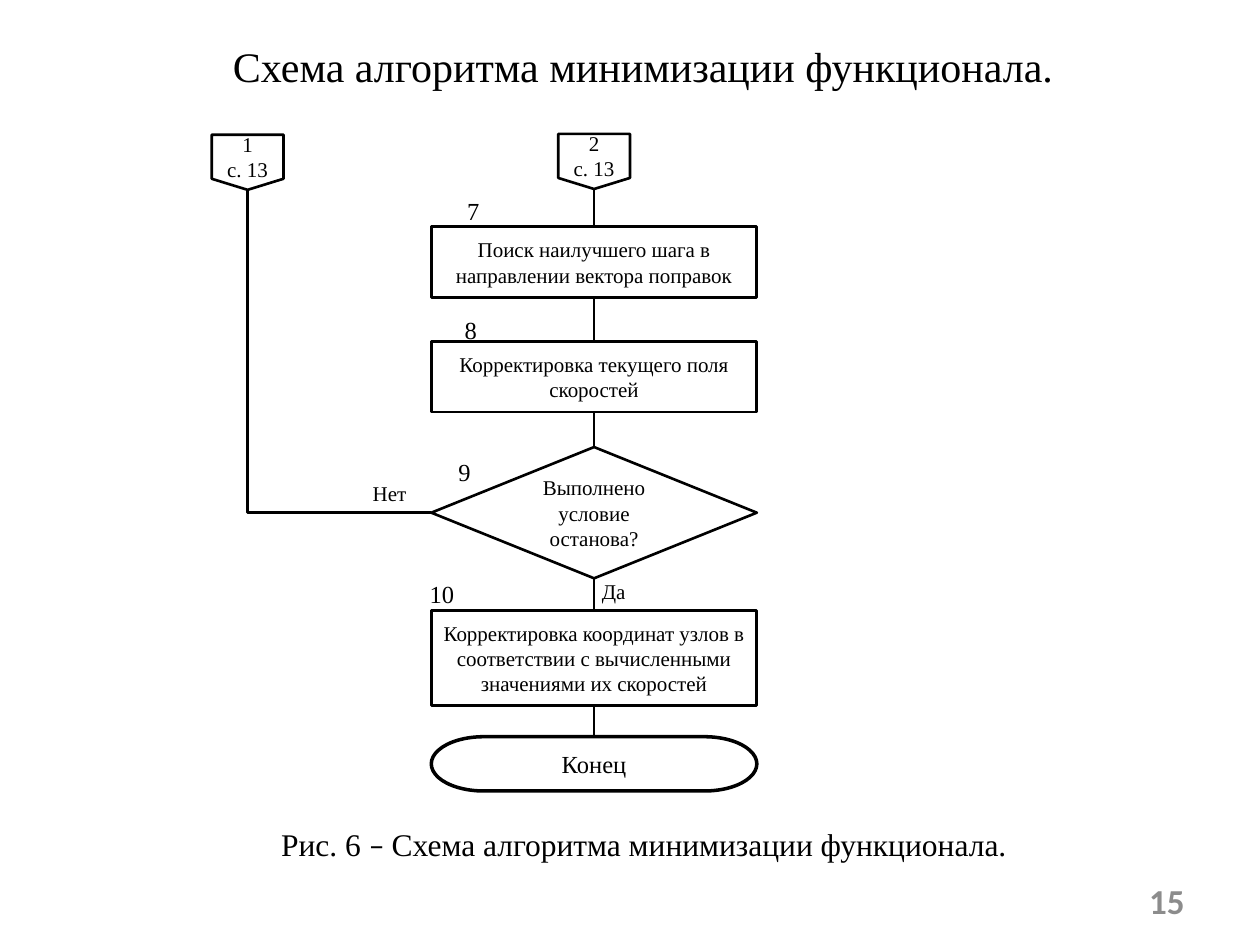
from dataclasses import dataclass

from lxml import etree
from pptx import Presentation
from pptx.dml.color import RGBColor
from pptx.enum.shapes import MSO_CONNECTOR, MSO_SHAPE
from pptx.enum.text import MSO_ANCHOR, MSO_AUTO_SIZE, PP_ALIGN
from pptx.oxml.ns import qn
from pptx.util import Pt

PAGE = MSO_SHAPE.FLOWCHART_OFFPAGE_CONNECTOR
STEP = MSO_SHAPE.RECTANGLE
TEST = MSO_SHAPE.FLOWCHART_DECISION
STOP = MSO_SHAPE.FLOWCHART_TERMINATOR
LINE = MSO_CONNECTOR.STRAIGHT
BEND = MSO_CONNECTOR.ELBOW
CENTER, RIGHT, JUSTIFY = PP_ALIGN.CENTER, PP_ALIGN.RIGHT, PP_ALIGN.JUSTIFY
MIDDLE = MSO_ANCHOR.MIDDLE
FIXED = MSO_AUTO_SIZE.NONE
TOP, LEFT, BOTTOM = 0, 1, 2


@dataclass(frozen=True)
class Theme:
    ink: RGBColor = RGBColor(0, 0, 0)
    paper: RGBColor = RGBColor(255, 255, 255)
    gray: RGBColor = RGBColor(0x8C, 0x8C, 0x8C)
    serif: str = "Times New Roman"
    sans: str = "Calibri"
    title: int = 24
    number: int = 20
    caption: int = 18
    mark: int = 14
    body: int = 12
    stroke: float = 1.5
    heavy: float = 2
    indent: int = 20


THEME = Theme()


def place(shape, box):
    shape.left, shape.top, shape.width, shape.height = map(Pt, box)


def style(frame, size, align, color=THEME.ink, face=THEME.serif, indent=0):
    frame.vertical_anchor = MIDDLE
    for para in frame.paragraphs:
        para.alignment = align
        para.font.size = Pt(size)
        para.font.name = face
        para.font.color.rgb = color
        if indent:
            props = para._p.get_or_add_pPr()
            props.set("marL", "0")
            props.set("indent", str(Pt(indent)))


def trim(frame):
    frame.margin_left = frame.margin_right = 0
    frame.margin_top = frame.margin_bottom = 0


def add_node(slide, kind, box, text, size=THEME.body, stroke=THEME.stroke):
    node = slide.shapes.add_shape(kind, *map(Pt, box))
    node.shadow.inherit = False
    node.fill.solid()
    node.fill.fore_color.rgb = THEME.paper
    node.line.color.rgb = THEME.ink
    node.line.width = Pt(stroke)
    frame = node.text_frame
    frame.text = text
    frame.word_wrap = True
    trim(frame)
    style(frame, size, CENTER)
    return node


def join(slide, kind, start, side, end, port):
    link = slide.shapes.add_connector(kind, 0, 0, 0, 0)
    link.begin_connect(start, side)
    link.end_connect(end, port)
    link.line.color.rgb = THEME.ink
    link.line.width = Pt(THEME.stroke)
    etree.SubElement(link._element.spPr, qn("a:effectLst"))
    return link


def add_label(slide, box, text, size, indent=0):
    label = slide.shapes.add_textbox(*map(Pt, box))
    frame = label.text_frame
    frame.text = text
    frame.word_wrap = True
    trim(frame)
    style(frame, size, JUSTIFY, indent=indent)


def add_title(slide, box):
    title = slide.shapes.title
    place(title, box)
    frame = title.text_frame
    frame.text = "Схема алгоритма минимизации функционала."
    frame.word_wrap = False
    frame.auto_size = FIXED
    style(frame, THEME.title, CENTER, indent=THEME.indent)


def add_flow(slide, box):
    x, y, width, height = box
    wide, small, tall = 186, 41, 31.5
    left = x + width - wide
    mid = left + wide / 2

    back = add_node(slide, PAGE, (x, y + 0.5, small, tall), "1\nс. 13")
    entry = add_node(slide, PAGE, (mid - small / 2, y, small, tall), "2\nс. 13")
    steps = [
        (STEP, 53, 40.5, "Поиск наилучшего шага в направлении вектора поправок"),
        (STEP, 118.5, 40.5, "Корректировка текущего поля скоростей"),
        (TEST, 179, 75, "Выполнено условие останова?"),
        (STEP, 272.5, 54, "Корректировка координат узлов в соответствии "
                          "с вычисленными значениями их скоростей"),
    ]
    chain = [entry]
    for kind, top, high, text in steps:
        chain.append(add_node(slide, kind, (left, y + top, wide, high), text))
    last = (left, y + height - 31, wide, 31)
    chain.append(add_node(slide, STOP, last, "Конец", THEME.mark, THEME.heavy))

    for start, end in zip(chain, chain[1:]):
        join(slide, LINE, start, BOTTOM, end, TOP)
    loop = join(slide, BEND, chain[3], LEFT, back, BOTTOM)
    loop._element.spPr.find(qn("a:prstGeom")).set("prst", "bentConnector2")

    labels = [
        ("7", 126, 32, THEME.mark, THEME.indent),
        ("8", 124.5, 100, THEME.mark, THEME.indent),
        ("9", 121, 181, THEME.mark, THEME.indent),
        ("10", 124.5, 251, THEME.mark, 0),
        ("Нет", 92, 193, THEME.body, 0),
        ("Да", 223, 249, THEME.body, 0),
    ]
    for text, dx, dy, size, indent in labels:
        add_label(slide, (x + dx, y + dy, 36, 24), text, size, indent)


def add_caption(slide, box):
    frame = slide.shapes.add_textbox(*map(Pt, box)).text_frame
    frame.word_wrap = False
    para = frame.paragraphs[0]
    parts = [
        ("Рис. 6 ", THEME.serif),
        ("– ", THEME.sans),
        ("Схема алгоритма минимизации функционала.", THEME.serif),
    ]
    for text, face in parts:
        run = para.add_run()
        run.text = text
        run.font.name = face
    style(frame, THEME.caption, CENTER, indent=THEME.indent)


def add_number(slide, box):
    frame = slide.shapes.add_textbox(*map(Pt, box)).text_frame
    frame.text = "15"
    frame.word_wrap = True
    style(frame, THEME.number, RIGHT, THEME.gray, THEME.sans)
    frame.paragraphs[0].font.bold = True


def main():
    deck = Presentation()
    deck.slide_width, deck.slide_height = Pt(720), Pt(540)
    slide = deck.slides.add_slide(deck.slide_layouts[5])
    add_title(slide, (103.5, 19.5, 508, 36))
    add_flow(slide, (121, 76.5, 311.5, 375.5))
    add_caption(slide, (132.5, 468, 451, 29))
    add_number(slide, (516, 500.5, 168, 28.5))
    deck.save("out.pptx")


if __name__ == "__main__":
    main()
